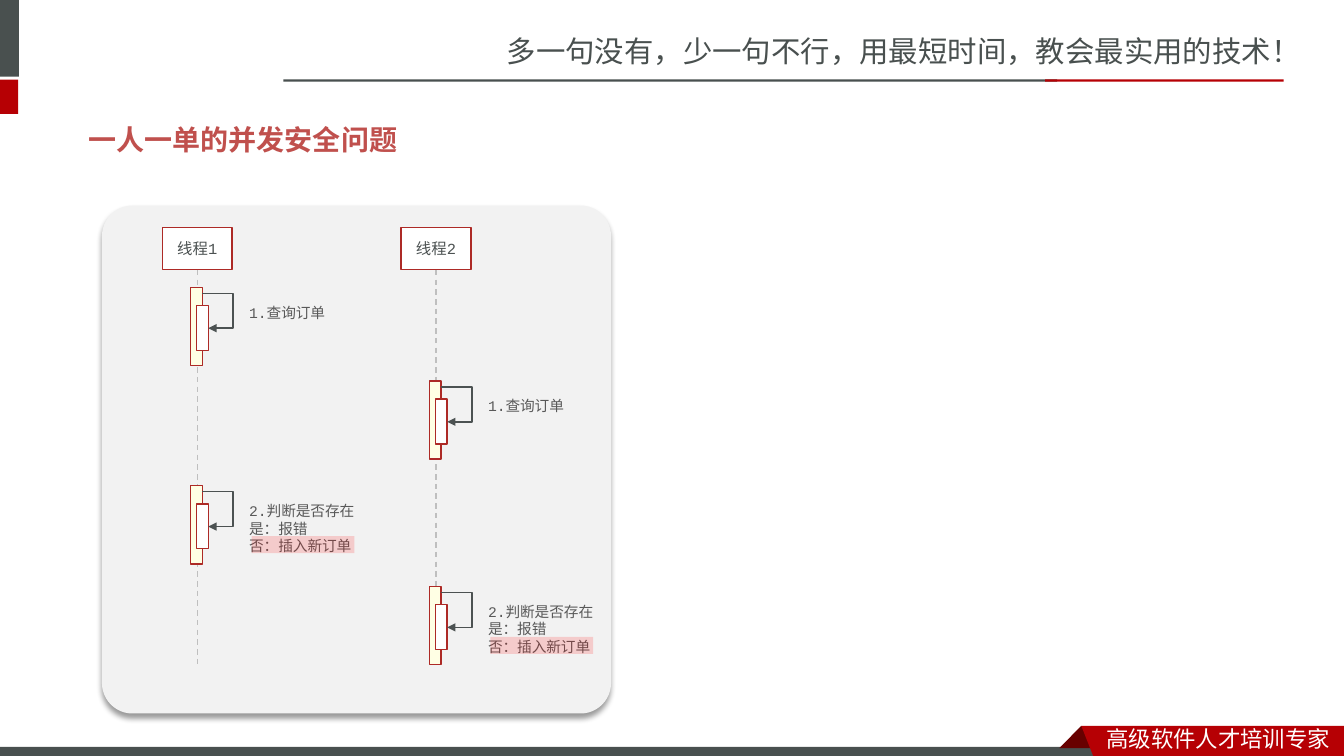
from dataclasses import dataclass
from lxml.etree import SubElement
from pptx import Presentation
from pptx.dml.color import RGBColor
from pptx.enum.dml import MSO_LINE
from pptx.enum.shapes import MSO_CONNECTOR, MSO_SHAPE
from pptx.enum.text import MSO_ANCHOR, MSO_AUTO_SIZE, PP_ALIGN
from pptx.oxml.ns import qn
from pptx.util import Cm, Pt


@dataclass
class Theme:
    slate: str = "49504F"
    red: str = "B60004"
    fold: str = "680000"
    title: str = "C0504D"
    panel: str = "F2F2F2"
    white: str = "FFFFFF"
    cream: str = "FFFFE4"
    edge: str = "AD2A26"
    ink: str = "4C5252"
    label: str = "595959"
    dash: str = "BFBFBF"
    mark: str = "FF0000"
    sans: str = "Noto Sans CJK SC"
    bold: str = "Noto Sans CJK JP"
    mono: str = "Courier New"
    slogan_size: float = 21
    title_size: float = 20
    foot_size: float = 16
    head_size: float = 11
    label_size: float = 10.5


theme = Theme()
deck = Presentation()
deck.slide_width, deck.slide_height = Cm(33.87), Cm(19.05)
slide = deck.slides.add_slide(deck.slide_layouts[5])
shapes = slide.shapes


def box(x, y, w, h, fill, line=None, kind=MSO_SHAPE.RECTANGLE):
    shape = shapes.add_shape(kind, Cm(x), Cm(y), Cm(w), Cm(h))
    shape.shadow.inherit = False
    shape.fill.solid()
    shape.fill.fore_color.rgb = RGBColor.from_string(fill)
    if line:
        shape.line.color.rgb = RGBColor.from_string(line)
        shape.line.width = Pt(1)
    else:
        shape.line.fill.background()
    return shape


def write(text, size, color, font, at=None, shape=None, bold=False,
          align=PP_ALIGN.LEFT, anchor=MSO_ANCHOR.TOP):
    shape = shape or shapes.add_textbox(*map(Cm, at))
    frame = shape.text_frame
    frame.text = text
    frame.word_wrap = True
    frame.auto_size = MSO_AUTO_SIZE.NONE
    frame.vertical_anchor = anchor
    for para in frame.paragraphs:
        para.alignment = align
        for run in para.runs:
            run.font.size, run.font.bold, run.font.name = Pt(size), bold, font
            run.font.color.rgb = RGBColor.from_string(color)
            asian = theme.sans if font == theme.mono else font
            SubElement(run.font._element, qn("a:ea"), typeface=asian)


# Header: slogan, corner blocks and rule
write("多一句没有，少一句不行，用最短时间，教会最实用的技术！", theme.slogan_size,
      theme.slate, theme.sans, at=(12.52, 0.71, 21.35, 1.19))
box(0, 0, 0.48, 1.93, theme.slate)
box(0, 2.01, 0.46, 0.86, theme.red)
box(7.14, 2, 19.5, 0.06, theme.slate)
box(26.34, 2, 6.01, 0.06, theme.red)

# Footer: bar and folded ribbon
box(0, 18.82, 27.8, 0.23, theme.slate)
fold = [(27.25, 18.29), (27.81, 18.85), (26.7, 18.85)]
ribbon = [(27.25, 18.29), (33.87, 18.29), (33.87, 19.05), (27.55, 19.05)]
for points, color in ((fold, theme.fold), (ribbon, theme.red)):
    start, *rest = [(Cm(x), Cm(y)) for x, y in points]
    pen = shapes.build_freeform(*start)
    pen.add_line_segments(rest, close=True)
    piece = pen.convert_to_shape()
    piece.shadow.inherit = False
    piece.fill.solid()
    piece.fill.fore_color.rgb = RGBColor.from_string(color)
    piece.line.fill.background()
write("高级软件人才培训专家", theme.foot_size, theme.white, theme.sans,
      at=(27.64, 18.16, 6.22, 0.89))

# Title
title = shapes.title
title.left, title.top, title.width, title.height = map(Cm, (1.98, 2.95, 29.72, 1.12))
write("一人一单的并发安全问题", theme.title_size, theme.title, theme.bold,
      shape=title, bold=True, anchor=MSO_ANCHOR.MIDDLE)

# Panel with soft shadow
panel = box(2.57, 5.18, 12.83, 12.8, theme.panel, kind=MSO_SHAPE.ROUNDED_RECTANGLE)
panel.adjustments[0] = 0.06
effect = panel._element.spPr.find(qn("a:effectLst"))
shadow = SubElement(effect, qn("a:outerShdw"), blurRad=str(Pt(4)), dist=str(Pt(3)),
                    dir="5400000", algn="t", rotWithShape="0")
black = SubElement(shadow, qn("a:srgbClr"), val="000000")
SubElement(black, qn("a:alpha"), val="40000")

# Threads: head, lifeline, two steps each
query = "1.查询订单"
check = "2.判断是否存在\n是：报错\n否：插入新订单"
threads = (("线程1", 4.97, (7.24, 12.24)), ("线程2", 10.99, (9.6, 14.78)))
lines = []
for name, mid, tops in threads:
    head = box(mid - 0.88, 5.74, 1.76, 1.06, theme.white, theme.edge)
    write(name, theme.head_size, theme.ink, theme.mono, shape=head,
          align=PP_ALIGN.CENTER, anchor=MSO_ANCHOR.MIDDLE)
    life = shapes.add_connector(MSO_CONNECTOR.STRAIGHT, Cm(mid), Cm(6.8),
                                Cm(mid), Cm(16.79))
    life.begin_connect(head, 2)
    life.line.dash_style = MSO_LINE.DASH
    lines.append((life, theme.dash))

    for top, text in zip(tops, (query, check)):
        box(mid - 0.17, top, 0.3, 1.97, theme.cream, theme.edge)
        box(mid - 0.02, top + 0.46, 0.3, 1.13, theme.white, theme.edge)
        loop = shapes.add_connector(MSO_CONNECTOR.ELBOW, Cm(mid + 0.13), Cm(top + 0.15),
                                    Cm(mid + 0.28), Cm(top + 1.03))
        bend = loop._element.spPr.find(".//" + qn("a:avLst"))
        SubElement(bend, qn("a:gd"), name="adj1", fmla="val 515000")
        lines.append((loop, theme.ink))
        write(text, theme.label_size, theme.label, theme.mono,
              at=(mid + 1.06, top + 0.28, 4.2, 0.71 if text == query else 1.6))

    # Mark on the insert branch
    mark = box(mid + 1.37, tops[1] + 1.27, 2.59, 0.43, theme.mark)
    tint = mark._element.spPr.find(".//" + qn("a:srgbClr"))
    SubElement(tint, qn("a:alpha"), val="16000")

# Line style, with arrowheads on the loops
for line, color in lines:
    line.line.color.rgb = RGBColor.from_string(color)
    line.line.width = Pt(1)
    props = line._element.spPr
    if color == theme.ink:
        SubElement(props.find(qn("a:ln")), qn("a:tailEnd"), type="triangle")
    SubElement(props, qn("a:effectLst"))

deck.save("out.pptx")
